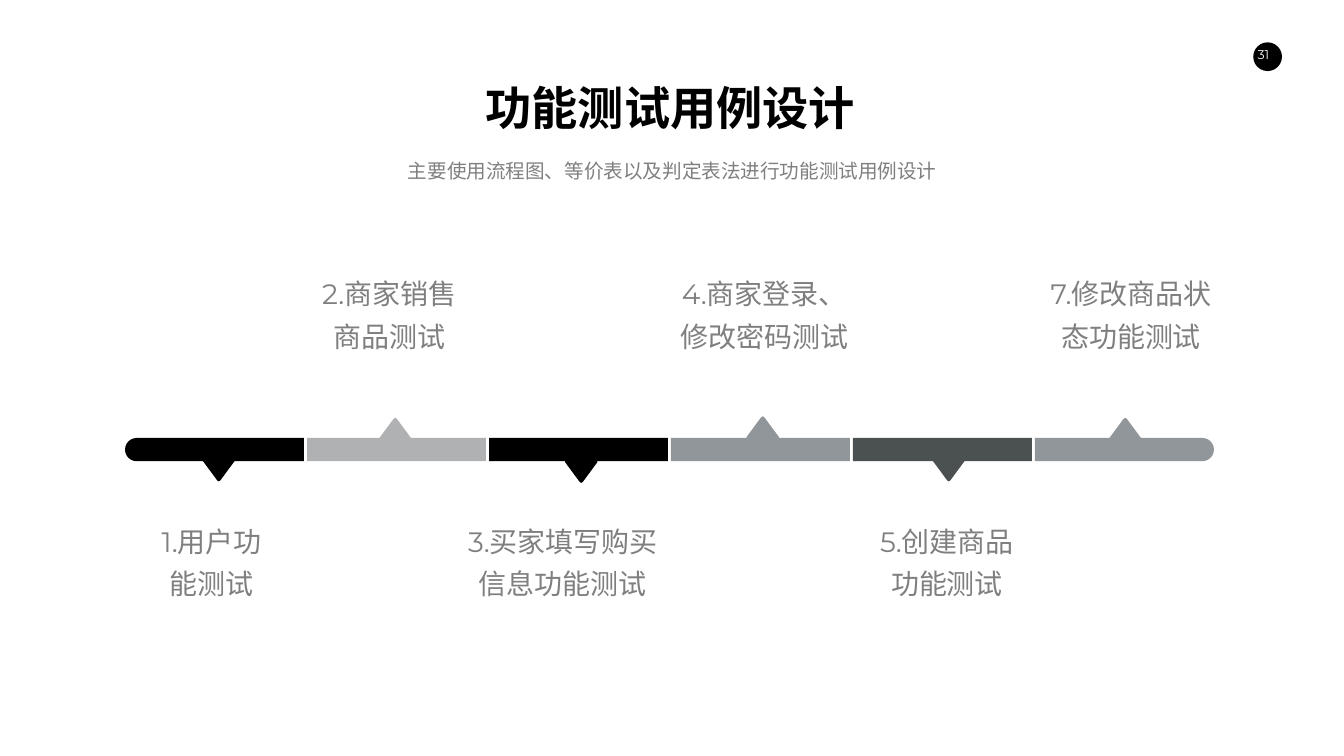
from pptx import Presentation
from pptx.dml.color import RGBColor
from pptx.enum.shapes import MSO_SHAPE
from pptx.enum.text import MSO_ANCHOR, PP_ALIGN
from pptx.util import Inches, Pt

RECT = MSO_SHAPE.RECTANGLE
ROUND = MSO_SHAPE.ROUND_2_SAME_RECTANGLE
OVAL = MSO_SHAPE.OVAL
TOP = MSO_ANCHOR.TOP
MID = PP_ALIGN.CENTER

HUES = {"black": "000000", "white": "FFFFFF", "text": "7F7F7F",
        "dark": "4B5050", "slate": "91969B", "pale": "B0B1B3"}


def paint(shape, hue):
    shape.shadow.inherit = False
    shape.fill.solid()
    shape.fill.fore_color.rgb = RGBColor.from_string(HUES[hue])
    shape.line.fill.background()


def write(shape, text, box, pads, size, hue, face="Montserrat", space=1, bold=False):
    shape.left, shape.top, shape.width, shape.height = [Inches(n) for n in box]
    frame = shape.text_frame
    frame.text = text
    frame.word_wrap = True
    frame.vertical_anchor = TOP
    frame.margin_left = frame.margin_right = Inches(pads[0])
    frame.margin_top = frame.margin_bottom = Inches(pads[1])
    for para in frame.paragraphs:
        para.alignment = MID
        para.line_spacing = space
        for run in para.runs:
            run.font.name = face
            run.font.size = Pt(size)
            run.font.bold = bold
            run.font.color.rgb = RGBColor.from_string(HUES[hue])


deck = Presentation()
deck.slide_width = Inches(26.66)
deck.slide_height = Inches(15)
slide = deck.slides.add_slide(deck.slide_layouts[5])
shapes = slide.shapes

write(shapes.title, "功能测试用例设计", (7.3, 1.52, 11.99, 1.21),
      (0.1, 0.05), 66, "black", "Arial", bold=True)
write(shapes.add_textbox(0, 0, 0, 0), "主要使用流程图、等价表以及判定表法进行功能测试用例设计",
      (5.32, 2.87, 16.03, 1.01), (0.1, 0.05), 28, "text", space=1.5)

badge = shapes.add_shape(OVAL, Inches(24.86), Inches(0.84), Inches(0.57), Inches(0.57))
paint(badge, "black")
write(shapes.add_textbox(0, 0, 0, 0), "31", (24.63, 0.84, 0.86, 0.5),
      (0.2, 0.1), 18, "white")

LEFT, STEP = 2.48, 3.61
BAR_TOP, BAR_W, BAR_H = 8.69, 3.55, 0.46
TIP = [(-0.32, 0.08), (-0.04, 0.46), (-0.02, 0.48), (0, 0.49), (0.02, 0.48),
       (0.04, 0.46), (0.32, 0.08), (0.32, 0.02), (0.28, 0), (-0.28, 0), (-0.32, 0.02)]

steps = [
    ("1.用户功\n能测试", "black", 4.34, 9.06, 2.45, 3.5),
    ("2.商家销售商品测试", "pale", 7.84, 8.78, 5.9, 3.64),
    ("3.买家填写购买信息功能测试", "black", 11.53, 9.09, 8.78, 4.77),
    ("4.商家登录、修改密码测试", "slate", 15.13, 8.75, 13.08, 4.16),
    ("5.创建商品功能测试", "dark", 18.82, 9.06, 16.93, 3.71),
    ("7.修改商品状态功能测试", "slate", 22.32, 8.78, 20.39, 4.09),
]

for i, (label, hue, mid, base, left, width) in enumerate(steps):
    x = LEFT + i * STEP
    if i in (0, len(steps) - 1):
        shift = (BAR_W - BAR_H) / 2
        bar = shapes.add_shape(ROUND, Inches(x + shift), Inches(BAR_TOP - shift),
                               Inches(BAR_H), Inches(BAR_W))
        bar.adjustments[0] = 0.5
        bar.adjustments[1] = 0
        bar.rotation = 90 if i else 270
    else:
        bar = shapes.add_shape(RECT, Inches(x), Inches(BAR_TOP),
                               Inches(BAR_W), Inches(BAR_H))
    paint(bar, hue)

    sign = -1 if i % 2 else 1
    dots = [(Inches(mid + dx), Inches(base + sign * dy)) for dx, dy in TIP]
    build = shapes.build_freeform(*dots[0])
    build.add_line_segments(dots[1:], close=True)
    paint(build.convert_to_shape(), hue)

    top = 5.19 if i % 2 else 10.1
    write(shapes.add_textbox(0, 0, 0, 0), label, (left, top, width, 3.07),
          (0.27, 0.13), 40, "text", space=1.26)

deck.save("out.pptx")
